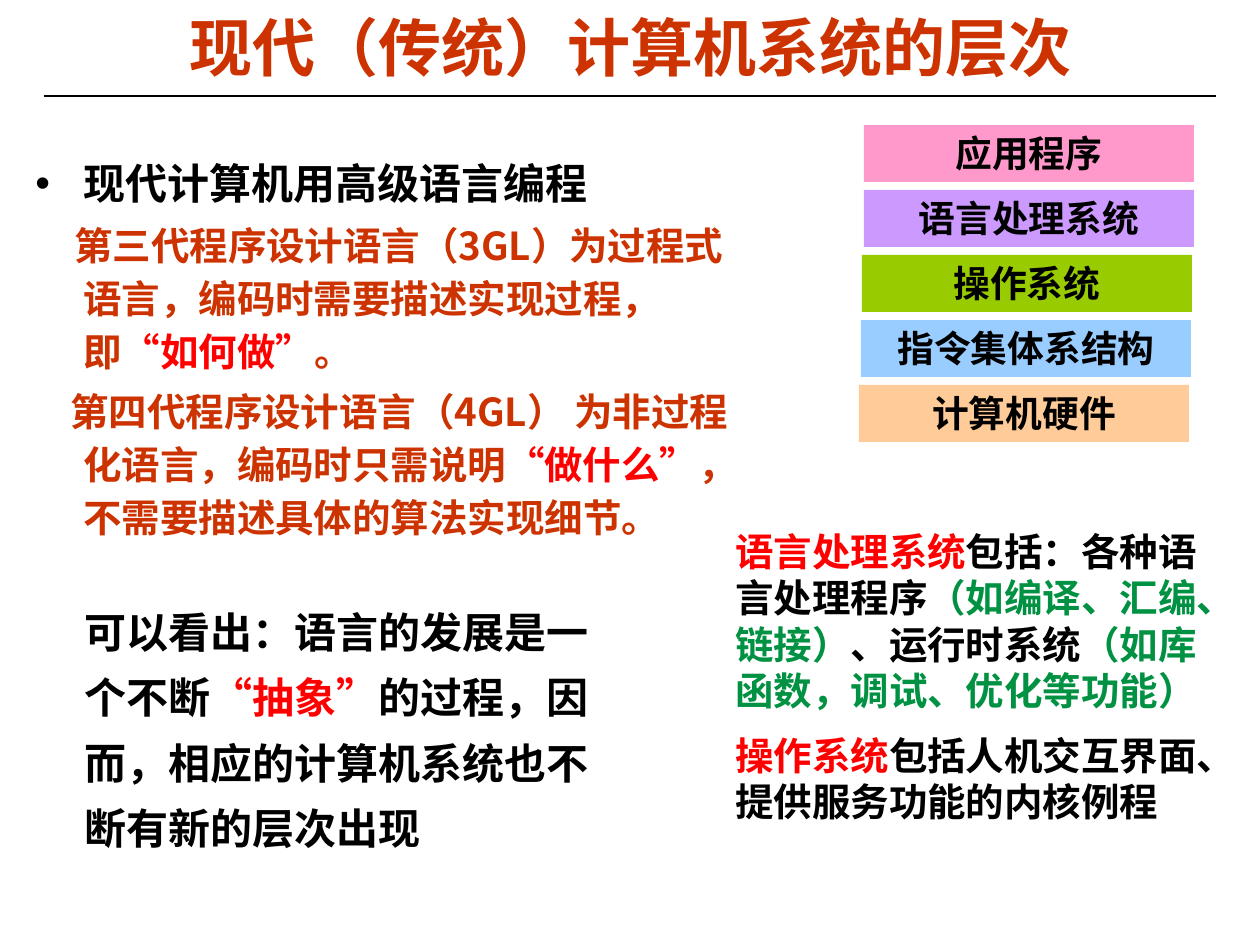
import pptx
import pptx.util
import pptx.dml.color
import pptx.enum.shapes
import pptx.enum.text
import pptx.oxml
import pptx.oxml.ns

PX = 914400 / 126
SANS = "Noto Sans CJK SC"
INK = dict(black="000000", brick="CC3300", red="FF0000", green="009242",
           pink="FF99CC", violet="CC99FF", lime="99CC00", sky="99CCFF",
           peach="FFCC99")
ALIGN = pptx.enum.text.PP_ALIGN
ANCHOR = pptx.enum.text.MSO_ANCHOR


def px(*nums):
    return [pptx.util.Emu(round(n * PX)) for n in nums]


def rgb(name):
    return pptx.dml.color.RGBColor.from_string(INK[name])


def child(node, tag, **attrs):
    item = pptx.oxml.ns.qn(tag)
    sub = node.makeelement(item, attrs)
    node.append(sub)
    return sub


def write(par, text, size=22, ink="black", font="Arial"):
    """Add one bold run to a paragraph."""
    run = par.add_run()
    run.text = text
    run.font.size = pptx.util.Pt(size)
    run.font.bold = True
    run.font.color.rgb = rgb(ink)
    run.font.name = font
    child(run._r.get_or_add_rPr(), "a:ea", typeface=SANS)


def fill_par(par, runs, **form):
    """Write (text, ink) pairs, or (text, ink, font) triples."""
    for text, ink, *font in runs:
        write(par, text, ink=ink, **(dict(form, font=font[0]) if font else form))


def text_box(slide, box):
    frame = slide.shapes.add_textbox(*px(*box)).text_frame
    frame.word_wrap = True
    return frame


def add_par(frame, gap):
    """Give the empty first paragraph, or a new one with space above it."""
    first = frame.paragraphs[0]
    if not first.runs:
        return first
    par = frame.add_paragraph()
    par.space_before = pptx.util.Pt(gap)
    return par


def draw_title(slide, box, rule):
    title = slide.shapes.title
    title.left, title.top, title.width, title.height = px(*box)
    frame = title.text_frame
    frame.word_wrap = True
    frame.vertical_anchor = ANCHOR.MIDDLE
    par = frame.paragraphs[0]
    par.alignment = ALIGN.CENTER
    write(par, "现代（传统）计算机系统的层次", size=36, ink="brick")

    left, top, width = rule
    line = slide.shapes.add_connector(
        pptx.enum.shapes.MSO_CONNECTOR.STRAIGHT, *px(left, top, left + width, top))
    line.line.color.rgb = rgb("black")
    line.line.width = pptx.util.Pt(0.75)
    child(line._element.spPr, "a:effectLst")


def draw_points(slide, box):
    frame = text_box(slide, box)
    points = [
        (24, -48, [("现代计算机用高级语言编程", "black")]),
        (22, -9, [("第三代程序设计语言（3GL）为过程式语言，编码时需要描述实现过程，即", "brick"),
                  ("“如何做”", "red"), ("。", "brick")]),
        (22, -13, [("第四代程序设计语言（4GL） 为非过程化语言，编码时只需说明", "brick"),
                   ("“做什么”", "red"), ("，不需要描述具体的算法实现细节。", "brick")]),
    ]
    for size, indent, runs in points:
        par = add_par(frame, 4)
        par.line_spacing = 1.15
        fill_par(par, runs, size=size, font=SANS)
        props = par._p.get_or_add_pPr()
        props.set("marL", str(px(48)[0]))
        props.set("indent", str(px(indent)[0]))
        if indent == -48:
            child(props, "a:buFont", typeface="Arial")
            child(props, "a:buChar", char="•")
        else:
            child(props, "a:buNone")


def draw_layers(slide, box, pitch):
    left, top, width, height = box
    layers = [("应用程序", "pink", 5), ("语言处理系统", "violet", 5),
              ("操作系统", "lime", 3), ("指令集体系结构", "sky", 2),
              ("计算机硬件", "peach", 0)]
    for row, (name, ink, shift) in enumerate(layers):
        bar = slide.shapes.add_shape(
            pptx.enum.shapes.MSO_SHAPE.RECTANGLE,
            *px(left + shift, top + row * pitch, width, height))
        bar.shadow.inherit = False
        bar.fill.solid()
        bar.fill.fore_color.rgb = rgb(ink)
        bar.line.fill.background()
        frame = bar.text_frame
        frame.word_wrap = True
        frame.vertical_anchor = ANCHOR.TOP
        par = frame.paragraphs[0]
        par.alignment = ALIGN.CENTER
        write(par, name, size=21)


def draw_summary(slide, box):
    par = text_box(slide, box).paragraphs[0]
    par.line_spacing = 1.3
    fill_par(par, [("可以看出：语言的发展是一个不断", "black"),
                   ("“", "red", SANS), ("抽象", "red"), ("”", "red", SANS),
                   ("的过程，因而，相应的计算机系统也不断有新的层次出现", "black")],
             size=24)


def draw_notes(slide, box):
    frame = text_box(slide, box)
    notes = [
        [("语言处理系统", "red"), ("包括：各种语言处理程序", "black"),
         ("（如编译、汇编、链接）", "green"), ("、运行时系统", "black"),
         ("（如库函数，调试、优化等功能）", "green")],
        [("操作系统", "red"), ("包括人机交互界面、提供服务功能的内核例程", "black")],
    ]
    for runs in notes:
        fill_par(add_par(frame, 11), runs)


def main():
    deck = pptx.Presentation()
    deck.slide_width, deck.slide_height = px(1260, 945)
    slide = deck.slides.add_slide(deck.slide_layouts[5])
    draw_title(slide, (63, 8, 1134, 77), (44, 96, 1172))
    draw_points(slide, (23, 144, 745, 564))
    draw_layers(slide, (859, 125, 330, 57), 65)
    draw_summary(slide, (72, 585, 546, 275))
    draw_notes(slide, (723, 522, 509, 312))
    deck.save("out.pptx")


if __name__ == "__main__":
    main()
